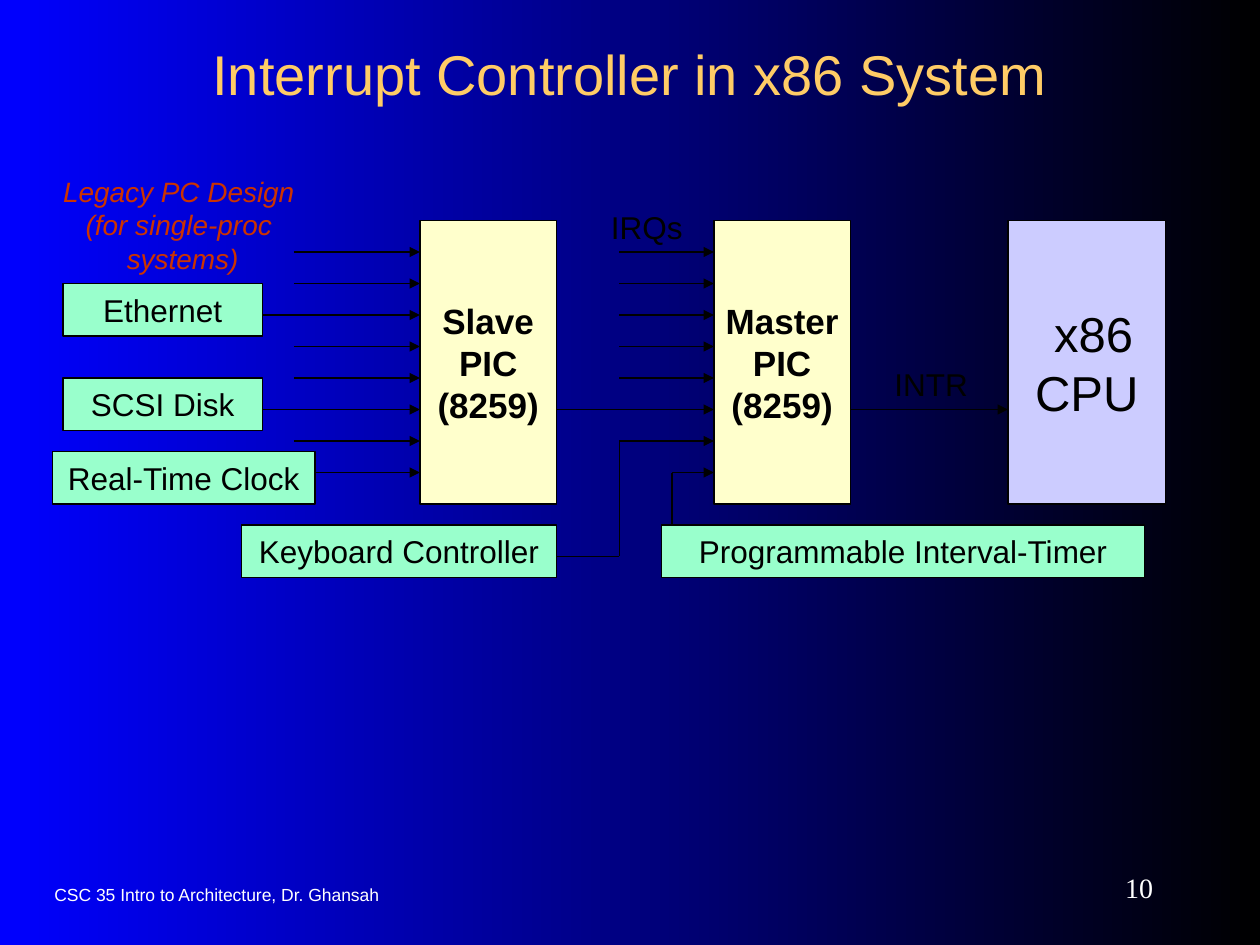
from lxml.etree import SubElement
from pptx import Presentation
from pptx.dml.color import RGBColor as RGB
from pptx.enum.shapes import MSO_CONNECTOR as LINK, MSO_SHAPE as SHAPE
from pptx.enum.text import MSO_ANCHOR as ANCHOR, MSO_AUTO_SIZE as FIT, PP_ALIGN as ALIGN
from pptx.oxml.ns import qn
from pptx.util import Pt

HUES = {"blue": "0000FF", "black": "000000", "white": "FFFFFF", "gold": "FFCC66",
        "red": "CC3300", "lilac": "CCCCFF", "cream": "FFFFCC", "mint": "99FFCC"}

TITLE = "Interrupt Controller in x86 System"

# left, width, fill, size, bold, lines
CHIPS = [
    (576, 90, "lilac", 28, False, [" x86", "CPU"]),
    (408, 78, "cream", 20, True, ["Master", "PIC", "(8259)"]),
    (240, 78, "cream", 20, True, ["Slave", "PIC", "(8259)"]),
]
CHIP_TOP, CHIP_TALL = 126, 162

# left, top, width, name
DEVICES = [
    (378, 300, 276, "Programmable Interval-Timer"),
    (138, 300, 180, "Keyboard Controller"),
    (30, 258, 150, "Real-Time Clock"),
    (36, 216, 114, "SCSI Disk"),
    (36, 162, 114, "Ethernet"),
]
DEVICE_TALL = 30

# Start of each interrupt line, from IRQ 0 down
SLAVE_INS = [168, 168, 150, 168, 168, 150, 168, 150]
MASTER_INS = [354, 354, 354, 354, 354, 318, 354, 384]
IRQ_TOP, IRQ_STEP = 144, 18

# x1, y1, x2, y2
WIRES = [(384, 270, 384, 300), (354, 252, 354, 318), (354, 318, 318, 318)]

# box, lines, style
LABELS = [
    ((28.8, 96, 151.2, 64.8), ["Legacy PC Design ", "(for single-proc ", "systems)"],
     dict(size=16, hue="red", italic=True, align=ALIGN.CENTER)),
    ((342, 115.2, 55.4, 28.8), ["IRQs"], dict(size=18)),
    ((504, 205.2, 56.2, 28.8), ["INTR"], dict(size=18)),
]
FOOTERS = [
    ((24, 499, 348, 24), "CSC 35 Intro to Architecture, Dr. Ghansah",
     dict(size=10, hue="white")),
    ((588, 492, 78, 30), "10",
     dict(size=16, hue="white", face="Times New Roman", align=ALIGN.RIGHT)),
]


def color(name):
    return RGB.from_string(HUES[name])


def write(frame, lines, size, hue="black", face="Arial", align=ALIGN.LEFT,
          bold=False, italic=False):
    frame.text = "\n".join(lines)
    for para in frame.paragraphs:
        para.alignment = align
        font = para.font
        font.size, font.name = Pt(size), face
        font.bold, font.italic = bold, italic
        font.color.rgb = color(hue)


def add_box(slide, box, hue, lines, size, bold=False):
    shape = slide.shapes.add_shape(SHAPE.RECTANGLE, *map(Pt, box))
    shape.shadow.inherit = False
    shape.fill.solid()
    shape.fill.fore_color.rgb = color(hue)
    shape.line.color.rgb = color("black")
    shape.line.width = Pt(0.75)
    frame = shape.text_frame
    frame.word_wrap = False
    frame.vertical_anchor = ANCHOR.MIDDLE
    write(frame, lines, size, align=ALIGN.CENTER, bold=bold)


def add_line(slide, ends, arrow=False):
    line = slide.shapes.add_connector(LINK.STRAIGHT, *map(Pt, ends))
    line.line.color.rgb = color("black")
    line.line.width = Pt(0.75)
    if arrow:
        SubElement(line.line._get_or_add_ln(), qn("a:tailEnd"), type="triangle")
    SubElement(line._element.spPr, qn("a:effectLst"))


def add_text(slide, box, lines, style, wrap=False):
    """Place a wrapped, centred-height text or a label that fits its text."""
    frame = slide.shapes.add_textbox(*map(Pt, box)).text_frame
    frame.word_wrap = wrap
    if wrap:
        frame.vertical_anchor = ANCHOR.MIDDLE
    else:
        frame.auto_size = FIT.SHAPE_TO_FIT_TEXT
    write(frame, lines, **style)


def main():
    deck = Presentation()
    deck.slide_width, deck.slide_height = Pt(720), Pt(540)
    slide = deck.slides.add_slide(deck.slide_layouts[5])

    fill = slide.background.fill
    fill.gradient()
    fill.gradient_angle = 0
    for stop, hue in zip(fill.gradient_stops, ["blue", "black"]):
        stop.color.rgb = color(hue)

    title = slide.shapes.title
    title.left, title.top, title.width, title.height = map(Pt, (54, 18, 612, 48))
    title.text_frame.vertical_anchor = ANCHOR.MIDDLE
    write(title.text_frame, [TITLE], 32, "gold", align=ALIGN.CENTER)

    for box, text, style in FOOTERS:
        add_text(slide, box, [text], style, wrap=True)
    for left, wide, hue, size, bold, lines in CHIPS:
        add_box(slide, (left, CHIP_TOP, wide, CHIP_TALL), hue, lines, size, bold)

    for starts, end in [(SLAVE_INS, 240), (MASTER_INS, 408)]:
        for row, start in enumerate(starts):
            y = IRQ_TOP + row * IRQ_STEP
            add_line(slide, (start, y, end, y), arrow=True)
    add_line(slide, (486, 234, 576, 234), arrow=True)
    for ends in WIRES:
        add_line(slide, ends)

    for left, top, wide, name in DEVICES:
        add_box(slide, (left, top, wide, DEVICE_TALL), "mint", [name], 18)
    for box, lines, style in LABELS:
        add_text(slide, box, lines, style)

    deck.save("out.pptx")


if __name__ == "__main__":
    main()
